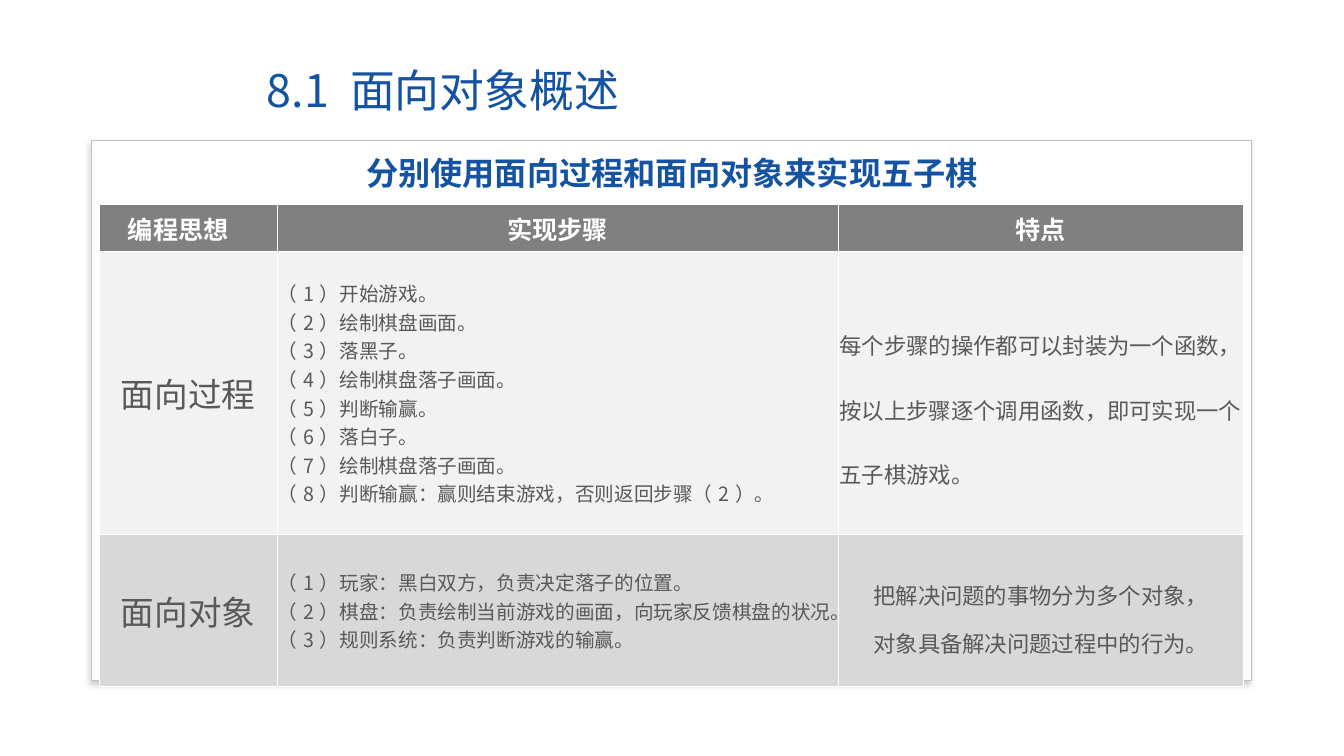
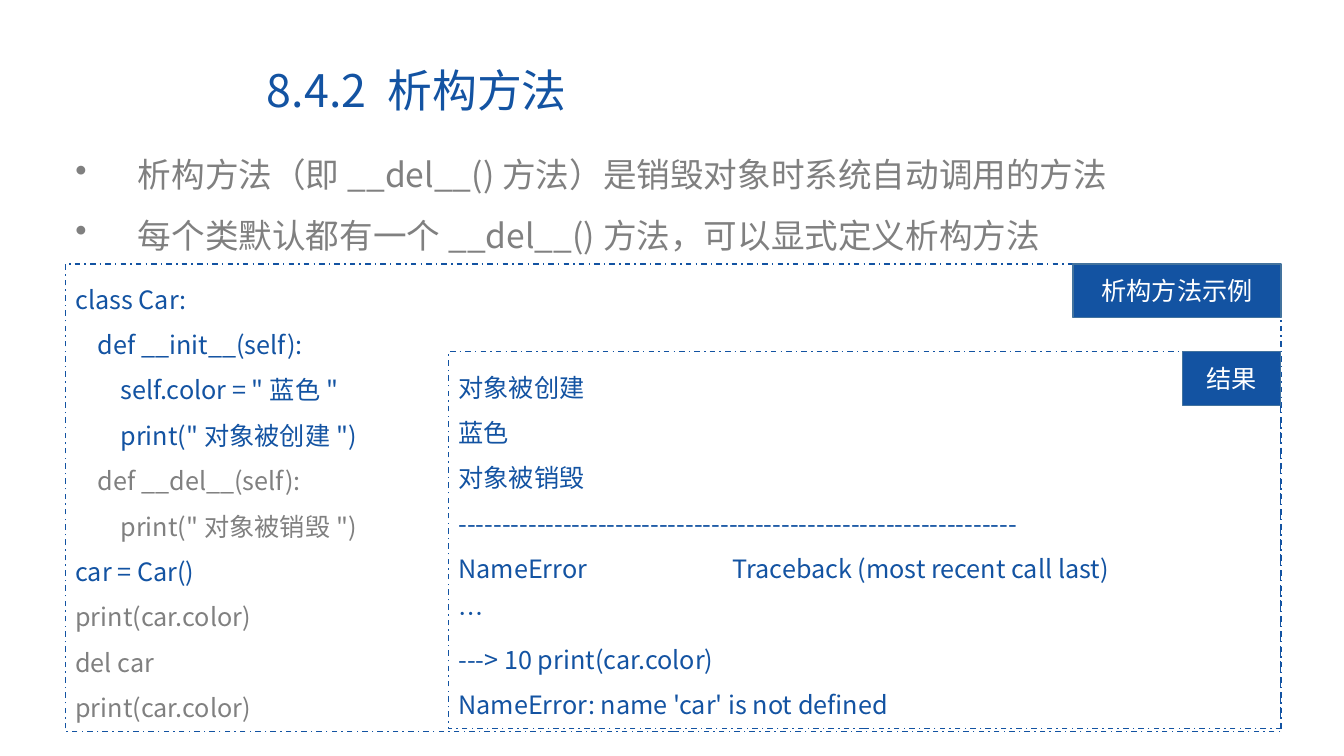
"""Build two slides on object-oriented programming in Python."""
import lxml.etree
import pptx
import pptx.dml.color
import pptx.enum.dml
import pptx.enum.shapes
import pptx.enum.text
import pptx.oxml.ns
import pptx.util

Pt = pptx.util.Pt
qn = pptx.oxml.ns.qn
ALIGN = pptx.enum.text.PP_ALIGN
ANCHOR = pptx.enum.text.MSO_ANCHOR
FONT = "Noto Sans CJK SC"
COLORS = {
    "blue": "1353A2", "edge": "43739E", "white": "FFFFFF", "gray": "808080",
    "dark": "595959", "pale": "F2F2F2", "mid": "D8D8D8", "rim": "BFBFBF",
}


def tint(name):
    return pptx.dml.color.RGBColor.from_string(COLORS[name])


def node(root, tag, **attrs):
    return lxml.etree.SubElement(root, qn(tag), {k: str(v) for k, v in attrs.items()})


def write(frame, lines, size, color, bold=False, align=ALIGN.LEFT, space=1.0,
          bullet=0, tab=0):
    for i, line in enumerate(lines):
        text, hue = line if isinstance(line, tuple) else (line, color)
        para = frame.paragraphs[0] if i == 0 else frame.add_paragraph()
        para.alignment = align
        para.line_spacing = space
        props = para._p.get_or_add_pPr()
        if bullet:
            props.set("marL", str(Pt(bullet)))
            props.set("indent", str(-Pt(bullet)))
            node(props, "a:buChar", char="•")
        if tab and "\t" in text:
            node(node(props, "a:tabLst"), "a:tab", pos=Pt(tab), algn="l")
        run = para.add_run()
        run.text = text
        run.font.size = Pt(size)
        run.font.bold = bold
        run.font.color.rgb = tint(hue)
        run.font.name = FONT
        node(run._r.get_or_add_rPr(), "a:ea", typeface=FONT)


def label(slide, box, lines, size, color, anchor=ANCHOR.TOP, **style):
    frame = slide.shapes.add_textbox(*map(Pt, box)).text_frame
    frame.word_wrap = True
    frame.vertical_anchor = anchor
    write(frame, lines, size, color, **style)


def title(slide, text):
    label(slide, (183.6, 45.4, 658, 42.5), [text], 32, "blue", ANCHOR.MIDDLE, space=0.9)


def block(slide, box, line, width, fill=None):
    shape = slide.shapes.add_shape(pptx.enum.shapes.MSO_SHAPE.RECTANGLE, *map(Pt, box))
    shape.shadow.inherit = False
    if fill:
        shape.fill.solid()
        shape.fill.fore_color.rgb = tint(fill)
    else:
        shape.fill.background()
    shape.line.color.rgb = tint(line)
    shape.line.width = Pt(width)
    return shape


def panel(slide, box):
    shape = block(slide, box, "rim", 0.25, "white")
    glow = node(shape._element.spPr.find(qn("a:effectLst")), "a:outerShdw",
                blurRad=Pt(4), dist=Pt(3), dir=5400000, algn="t", rotWithShape=0)
    node(node(glow, "a:srgbClr", val=COLORS["gray"]), "a:alpha", val=40000)


def sample(slide, box, lines, name, wide, tab=0):
    shape = block(slide, box, "blue", 1)
    shape.line.dash_style = pptx.enum.dml.MSO_LINE.DASH_DOT
    shape.text_frame.vertical_anchor = ANCHOR.TOP
    shape.text_frame.word_wrap = True
    write(shape.text_frame, lines, 18, "blue", space=1.5, tab=tab)
    left, top, width, _ = box
    tag = block(slide, (left + width - wide, top, wide, 38.2), "edge", 1, "blue")
    tag.text_frame.vertical_anchor = ANCHOR.MIDDLE
    write(tag.text_frame, [name], 18, "white", align=ALIGN.CENTER)


def border(cell):
    props = cell._tc.get_or_add_tcPr()
    for i, side in enumerate(("a:lnL", "a:lnR", "a:lnT", "a:lnB")):
        line = node(props, side, w=Pt(0.5))
        node(node(line, "a:solidFill"), "a:srgbClr", val=COLORS["white"])
        props.insert(i, line)


def grid(slide, spot, cols, rows, fills, cells):
    table = slide.shapes.add_table(len(rows), len(cols), *map(Pt, spot),
                                   Pt(sum(cols)), Pt(sum(rows))).table
    table.first_row = table.horz_banding = False
    for col, width in zip(table.columns, cols):
        col.width = Pt(width)
    for r, height in enumerate(rows):
        table.rows[r].height = Pt(height)
        for c, (lines, size, style) in enumerate(cells[r]):
            cell = table.cell(r, c)
            cell.margin_left = cell.margin_right = cell.margin_top = Pt(0.75)
            cell.margin_bottom = 0
            cell.vertical_anchor = ANCHOR.MIDDLE
            cell.fill.solid()
            cell.fill.fore_color.rgb = tint(fills[r])
            border(cell)
            write(cell.text_frame, lines, size, "dark" if r else "white",
                  bold=r == 0, **style)
    return table


def compare(slide):
    mid = {"align": ALIGN.CENTER}
    panel(slide, (64.8, 100.1, 828.7, 385.9))
    cells = [
        [([head], 18, mid) for head in ("编程思想", "实现步骤", "特点")],
        [(["面向过程"], 24, mid),
         (["（1）开始游戏。", "（2）绘制棋盘画面。", "（3）落黑子。",
           "（4）绘制棋盘落子画面。", "（5）判断输赢。", "（6）落白子。",
           "（7）绘制棋盘落子画面。",
           "（8）判断输赢：赢则结束游戏，否则返回步骤（2）。"], 14, {}),
         (["每个步骤的操作都可以封装为一个函数，按以上步骤逐个调用函数，"
           "即可实现一个五子棋游戏。"], 16, {"space": 2.0})],
        [(["面向对象"], 24, mid),
         (["（1）玩家：黑白双方，负责决定落子的位置。",
           "（2）棋盘：负责绘制当前游戏的画面，向玩家反馈棋盘的状况。",
           "（3）规则系统：负责判断游戏的输赢。"], 14, {}),
         (["把解决问题的事物分为多个对象，", "对象具备解决问题过程中的行为。"],
          16, {"space": 1.5, **mid})],
    ]
    table = grid(slide, (70.9, 145.6), (126.9, 401.2, 289.2), (33.8, 202.3, 108.4),
                 ("gray", "pale", "mid"), cells)
    table.cell(0, 0).margin_right = Pt(14.75)
    label(slide, (77.8, 105.8, 805, 35.3), ["分别使用面向过程和面向对象来实现五子棋"],
          23, "blue", bold=True, align=ALIGN.CENTER)
    title(slide, "8.1 面向对象概述")


def destroy(slide):
    label(slide, (46.8, 92.2, 868.3, 94.3),
          ["析构方法（即__del__()方法）是销毁对象时系统自动调用的方法",
           "每个类默认都有一个__del__()方法，可以显式定义析构方法"],
          24, "gray", space=1.5, bullet=44.6)
    title(slide, "8.4.2 析构方法")
    code = [
        "class Car:",
        "    def __init__(self):",
        "        self.color = \"蓝色\"",
        "        print(\"对象被创建\")",
        ("    def __del__(self):", "gray"),
        ("        print(\"对象被销毁\")", "gray"),
        "car = Car()",
        ("print(car.color)", "gray"),
        ("del car", "gray"),
        ("print(car.color)", "gray"),
    ]
    sample(slide, (46.8, 188.6, 868.3, 334.1), code, "析构方法示例", 148.7)
    result = [
        "对象被创建", "蓝色", "对象被销毁", "-" * 64,
        "NameError\tTraceback (most recent call last)", "…",
        "---> 10 print(car.color)", "NameError: name 'car' is not defined",
    ]
    sample(slide, (320.4, 251.3, 594.4, 269.3), result, "结果", 70, tab=196)


def main():
    deck = pptx.Presentation()
    deck.slide_width, deck.slide_height = Pt(960), Pt(540)
    for draw in (compare, destroy):
        draw(deck.slides.add_slide(deck.slide_layouts[6]))
    deck.save("out.pptx")


if __name__ == "__main__":
    main()
